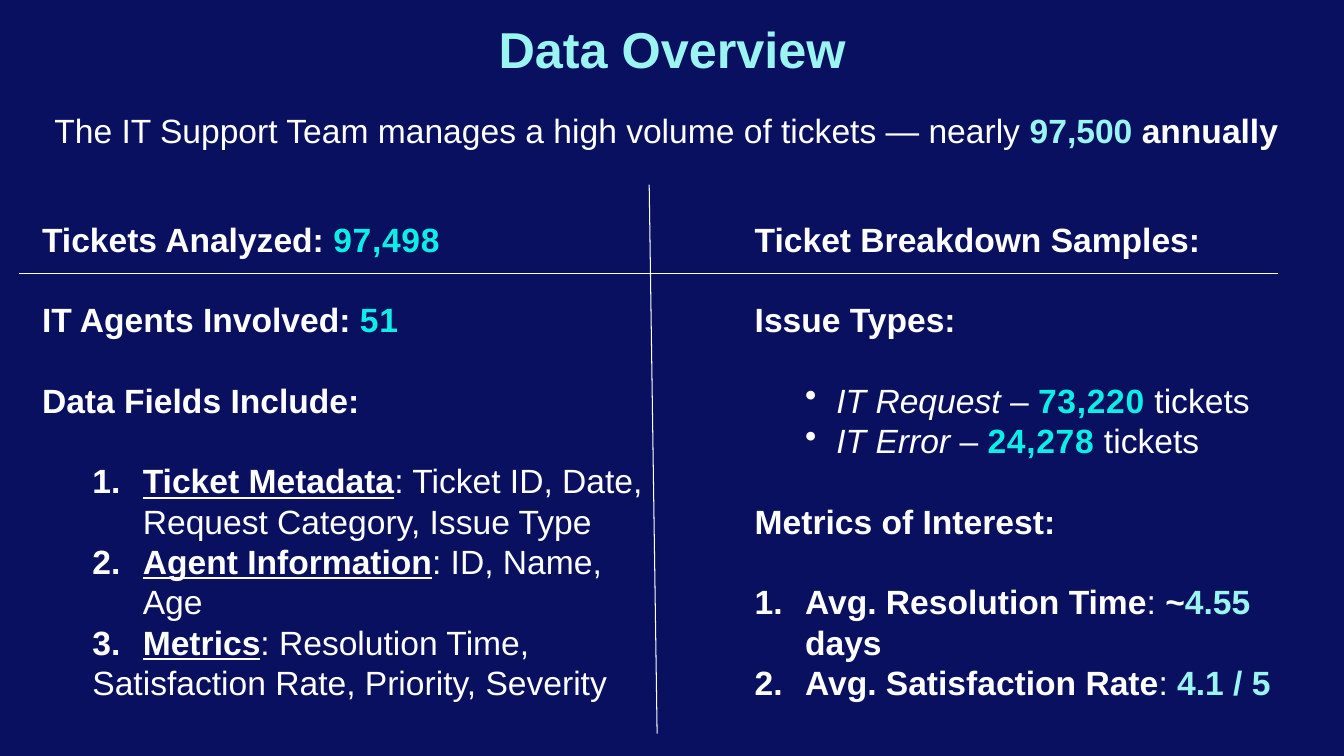
from lxml import etree
from pptx import Presentation
from pptx.dml.color import RGBColor
from pptx.enum.shapes import MSO_CONNECTOR as Connector
from pptx.enum.text import MSO_ANCHOR as Anchor, MSO_AUTO_SIZE as AutoSize, PP_ALIGN as Align
from pptx.oxml.ns import qn
from pptx.util import Cm, Pt

NAVY = RGBColor(0x09, 0x10, 0x60)
WHITE = RGBColor(0xFF, 0xFF, 0xFF)
CYAN = RGBColor(0x0D, 0xEE, 0xE7)
PALE_CYAN = RGBColor(0x9A, 0xF5, 0xF1)

LINE_PITCH = Pt(28.8)
NUMBER = ("buAutoNum", {"type": "arabicPeriod"})
DOT = ("buChar", {"char": "•"})


class SlideBuilder:
    """Hold the slide and its style, and add one kind of element per method."""

    def __init__(self, slide, font_name="Arial", size=24):
        """Keep the slide with its font and body size, and paint the background."""
        self.slide = slide
        self.font_name = font_name
        self.size = size
        slide.background.fill.solid()
        slide.background.fill.fore_color.rgb = NAVY

    def format_run(self, run, flags="", color=WHITE, size=None):
        """Style a run; flags are b(old), i(talic), u(nderline) and s(paced)."""
        font = run.font
        font.name = self.font_name
        font.size = Pt(size or self.size)
        font.color.rgb = color
        font.bold = "b" in flags
        font.italic = "i" in flags
        font.underline = "u" in flags
        if "s" in flags:
            run._r.get_or_add_rPr().set("spc", "50")

    def title(self, text, left, top, width, height):
        """Fill and place the title placeholder."""
        shape = self.slide.shapes.title
        shape.left, shape.top, shape.width, shape.height = map(Cm, (left, top, width, height))
        frame = shape.text_frame
        frame.text = text
        frame.auto_size = AutoSize.NONE
        frame.vertical_anchor = Anchor.TOP
        frame.margin_top = Cm(0.45)
        frame.paragraphs[0].alignment = Align.CENTER
        self.format_run(frame.paragraphs[0].runs[0], "b", PALE_CYAN, 36)

    def text(self, paragraphs, left, top, width, height):
        """Add a wrapped text box from (runs, layout) pairs."""
        frame = self.slide.shapes.add_textbox(*map(Cm, (left, top, width, height))).text_frame
        frame.word_wrap = True
        for index, (runs, layout) in enumerate(paragraphs):
            paragraph = frame.paragraphs[0] if index == 0 else frame.add_paragraph()
            paragraph.line_spacing = LINE_PITCH
            self.format_paragraph(paragraph, **layout)
            for text, *style in runs:
                run = paragraph.add_run()
                run.text = text
                self.format_run(run, *style)

    def format_paragraph(self, paragraph, gap=False, left=0, hanging=0, bullet=None):
        """Set the gap above, the indents and the bullet of a paragraph."""
        if gap:
            paragraph.space_before = LINE_PITCH
        properties = paragraph._p.get_or_add_pPr()
        properties.set("marL", str(Cm(left)))
        properties.set("indent", str(-Cm(hanging)))
        if bullet:
            tag, attributes = bullet
            etree.SubElement(properties, qn("a:" + tag), attributes)

    def line(self, start, end):
        """Add a thin white line between two points."""
        connector = self.slide.shapes.add_connector(
            Connector.STRAIGHT, *map(Cm, (*start, *end)))
        connector.line.color.rgb = WHITE
        connector.line.width = Pt(0.75)
        etree.SubElement(connector._element.spPr, qn("a:effectLst"))


def heading(label, value="", gap=True):
    """Return a bold heading paragraph with an optional highlighted value."""
    runs = [(label, "b")]
    if value:
        runs.append((value, "bs", CYAN))
    return runs, {"gap": gap}


def data_field(name, details, gap=False):
    """Return a numbered data field paragraph."""
    return ([(name, "bu"), (": " + details,)],
            {"gap": gap, "left": 2.54, "hanging": 1.27, "bullet": NUMBER})


def issue_type(name, count, gap=False):
    """Return a bulleted issue type paragraph with its ticket count."""
    return ([(name, "i"), (" – ",), (count, "bs", CYAN), (" tickets",)],
            {"gap": gap, "left": 2.06, "hanging": 0.79, "bullet": DOT})


def metric(name, *value_runs, gap=False):
    """Return a numbered metric paragraph."""
    return ([(name, "b"), (": ",), *value_runs],
            {"gap": gap, "left": 1.27, "hanging": 1.27, "bullet": NUMBER})


def main():
    """Build the data overview slide."""
    presentation = Presentation()
    presentation.slide_width, presentation.slide_height = Cm(33.87), Cm(19.05)
    builder = SlideBuilder(presentation.slides.add_slide(presentation.slide_layouts[5]))

    builder.title("Data Overview", 8.99, 0, 15.9, 1.65)
    builder.text([
        heading("Tickets Analyzed: ", "97,498", gap=False),
        heading("IT Agents Involved: ", "51"),
        heading("Data Fields Include:"),
        data_field("Ticket Metadata", "Ticket ID, Date, Request Category, Issue Type", gap=True),
        data_field("Agent Information", "ID, Name, Age"),
        data_field("Metrics", "Resolution Time,"),
        ([("Satisfaction Rate, Priority, Severity",)], {"left": 1.27}),
    ], 0.81, 5.38, 16.03, 13.59)
    builder.text([
        heading("Ticket Breakdown Samples:", gap=False),
        heading("Issue Types:"),
        issue_type("IT Request", "73,220", gap=True),
        issue_type("IT Error", "24,278"),
        heading("Metrics of Interest:"),
        metric("Avg. Resolution Time", ("~", "b"), ("4.55", "b", PALE_CYAN), (" days", "b"),
               gap=True),
        metric("Avg. Satisfaction Rate", ("4.1 / 5", "b", PALE_CYAN)),
    ], 18.77, 5.38, 14.27, 13.59)
    builder.text([
        ([("The IT Support Team manages a high volume of tickets — nearly ",),
          ("97,500", "b", PALE_CYAN), (" annually", "b")], {}),
    ], 1.12, 2.64, 32.26, 1.27)

    center, rule = 16.36, 6.88
    builder.line((center, 4.65), (16.56, 18.49))
    for start, end in ((0.48, center), (center, 32.21)):
        builder.line((start, rule), (end, rule))

    presentation.save("out.pptx")


if __name__ == "__main__":
    main()
